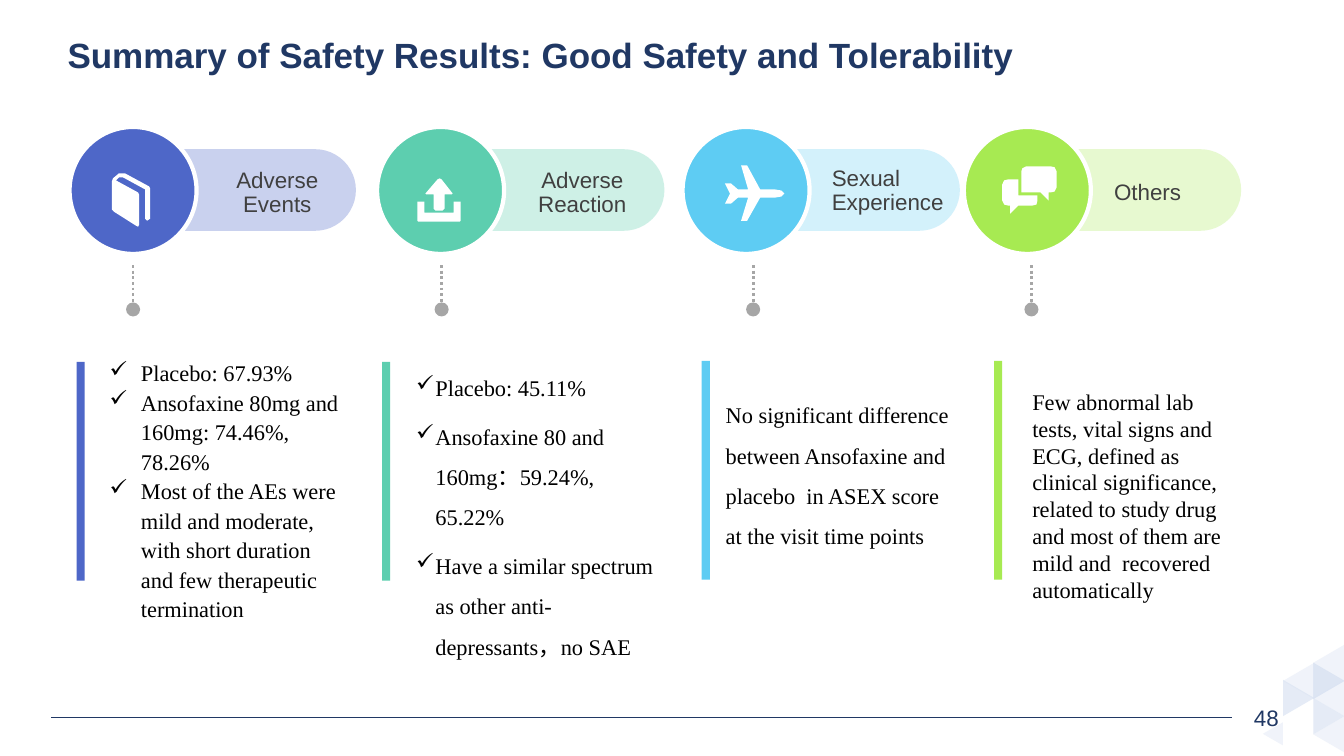
from dataclasses import dataclass

from lxml.etree import SubElement
from pptx import Presentation
from pptx.dml.color import RGBColor
from pptx.enum.dml import MSO_LINE
from pptx.enum.shapes import MSO_CONNECTOR, MSO_SHAPE as SHAPE
from pptx.enum.text import MSO_ANCHOR as ANCHOR, MSO_AUTO_SIZE, PP_ALIGN as ALIGN
from pptx.oxml.ns import qn
from pptx.util import Inches, Pt

NAVY = RGBColor(0x20, 0x38, 0x64)
WHITE = RGBColor(0xFF, 0xFF, 0xFF)
BLACK = RGBColor(0, 0, 0)
LABEL_GRAY = RGBColor(0x40, 0x40, 0x40)
STEM_GRAY = RGBColor(0xA6, 0xA6, 0xA6)
PALE_BLUE = RGBColor(0xDA, 0xE3, 0xF3)

Box = tuple[float, float, float, float]
Contour = list[tuple[int, int]]  # hundredths of an inch


@dataclass
class Body:
    box: Box
    paragraphs: list[str]
    line_spacing: float = 1.0
    space_after: float = 0
    indent: float = 0  # hanging indent of checked items; 0 means no check marks


@dataclass
class Column:
    label: str
    label_box: Box
    align: ALIGN
    color: RGBColor
    tint: RGBColor
    opacity: int
    circle_left: float
    pill_left: float
    pill_width: float
    stem_x: float
    bar: tuple[float, float]
    body: Body
    icon: list[Contour]


@dataclass
class Triangle:
    left: float
    top: float
    points_right: bool
    width: float = 0.36
    height: float = 0.31


BOOK = [[(148, 185), (124, 172), (118, 172), (112, 177), (111, 180), (111, 208),
         (113, 210), (135, 224), (137, 225), (138, 223), (138, 193), (137, 191),
         (115, 179), (118, 176), (122, 176), (144, 188), (144, 217), (146, 219),
         (149, 217), (149, 187)]]
UPLOAD = [[(414, 200), (421, 200), (421, 211), (450, 211), (450, 200), (457, 200),
           (457, 219), (456, 220), (415, 220), (414, 219)],
          [(449, 192), (448, 193), (441, 193), (441, 207), (439, 209), (432, 209),
           (430, 207), (430, 193), (423, 193), (422, 192), (434, 178), (436, 177),
           (438, 178)]]
PLANE = [[(735, 219), (741, 219), (754, 196), (769, 196), (775, 195), (778, 192),
          (775, 189), (769, 188), (754, 188), (741, 164), (735, 164), (742, 188),
          (732, 188), (725, 182), (719, 182), (724, 192), (719, 202), (725, 202),
          (732, 196), (742, 196)]]
CHAT = [[(1042, 165), (1018, 165), (1014, 167), (1013, 170), (1013, 191), (1032, 191),
         (1040, 199), (1040, 191), (1042, 191), (1046, 190), (1048, 186), (1048, 170),
         (1046, 166)],
        [(1010, 194), (1010, 178), (1000, 178), (996, 179), (994, 183), (994, 199),
         (996, 203), (1000, 204), (1002, 204), (1002, 212), (1010, 204), (1024, 204),
         (1028, 203), (1029, 199), (1029, 194)]]

COLUMNS = [
    Column("Adverse Events", (2.03, 1.71, 1.39, 0.42), ALIGN.CENTER,
           RGBColor(0x4E, 0x67, 0xC8), RGBColor(0x95, 0xA4, 0xDE), 50,
           0.69, 1.31, 2.22, 1.32, (0.76, 3.59),
           Body((0.99, 3.49, 2.54, 2.76),
                ["Placebo: 67.93%", "Ansofaxine 80mg and 160mg: 74.46%, 78.26%",
                 "Most of the AEs were mild and moderate, with short duration "
                 "and few therapeutic termination"], 1.1, 0, 0.31), BOOK),
    Column("Adverse Reaction", (5.14, 1.71, 1.22, 0.42), ALIGN.CENTER,
           RGBColor(0x5D, 0xCE, 0xAF), RGBColor(0x9E, 0xE2, 0xCF), 50,
           3.74, 4.38, 2.21, 4.38, (3.79, 3.59),
           Body((4.03, 3.53, 2.58, 3.1),
                ["Placebo: 45.11%", "Ansofaxine 80 and 160mg：59.24%, 65.22%",
                 "Have a similar spectrum as other anti-depressants，no SAE"],
                1.5, 6, 0.19), UPLOAD),
    Column("Sexual Experience", (8.2, 1.67, 1.32, 0.45), ALIGN.LEFT,
           RGBColor(0x5E, 0xCC, 0xF3), RGBColor(0x9E, 0xE0, 0xF8), 45,
           6.77, 7.44, 2.08, 7.47, (6.96, 3.58),
           Body((7.1, 3.8, 2.43, 1.72),
                ["No significant difference between Ansofaxine and placebo  in "
                 "ASEX score at the visit time points"], 1.5, 6), PLANE),
    Column("Others", (11, 1.71, 1.07, 0.42), ALIGN.LEFT,
           RGBColor(0xA7, 0xEA, 0x52), RGBColor(0xCA, 0xF2, 0x97), 45,
           9.56, 10.23, 2.08, 10.23, (9.86, 3.58),
           Body((10.14, 3.8, 2.27, 2.25),
                ["Few abnormal lab tests, vital signs and ECG, defined as clinical "
                 "significance, related to study drug and most of them are mild "
                 "and  recovered automatically"]), CHAT),
]

TRIANGLES = [
    Triangle(12.7, 6.77, True), Triangle(12.7, 6.6, False),
    Triangle(13, 6.6, True), Triangle(13, 6.6, True),
    Triangle(13, 6.77, False), Triangle(13, 6.42, False),
    Triangle(13, 7.13, False), Triangle(13, 6.95, True),
    Triangle(12.51, 7.18, False, 0.23, 0.2),
]

deck = Presentation()
deck.slide_width, deck.slide_height = Inches(13.33), Inches(7.5)
page = deck.slides.add_slide(deck.slide_layouts[5])


def paint(shape, color: RGBColor, opacity: int = 100) -> None:
    shape.shadow.inherit = False
    shape.line.fill.background()
    shape.fill.solid()
    shape.fill.fore_color.rgb = color
    if opacity < 100:
        color_node = shape.element.spPr.find(qn("a:solidFill"))[0]
        SubElement(color_node, qn("a:alpha"), val=str(opacity * 1000))


def add_block(kind: SHAPE, box: Box, color: RGBColor, opacity: int = 100):
    shape = page.shapes.add_shape(kind, *map(Inches, box))
    paint(shape, color, opacity)
    return shape


def add_rule(start: tuple[float, float], end: tuple[float, float],
             color: RGBColor, width: float):
    rule = page.shapes.add_connector(MSO_CONNECTOR.STRAIGHT, *map(Inches, start + end))
    rule.line.color.rgb = color
    rule.line.width = Pt(width)
    SubElement(rule.element.spPr, qn("a:effectLst"))
    return rule


def style(para, size: float, name: str, color: RGBColor, bold: bool = False) -> None:
    para.font.size, para.font.name, para.font.bold = Pt(size), name, bold
    para.font.color.rgb = color


def add_label(text: str, box: Box, align: ALIGN, color: RGBColor,
              line_spacing: float = 1.0) -> None:
    frame = page.shapes.add_textbox(*map(Inches, box)).text_frame
    frame.word_wrap = True
    frame.vertical_anchor = ANCHOR.MIDDLE
    frame.margin_left = Inches(0.05)
    frame.margin_right = frame.margin_top = frame.margin_bottom = 0
    para = frame.paragraphs[0]
    para.text, para.alignment, para.line_spacing = text, align, line_spacing
    style(para, 16, "Arial", color)


def add_body(body: Body) -> None:
    frame = page.shapes.add_textbox(*map(Inches, body.box)).text_frame
    frame.word_wrap = True
    for number, text in enumerate(body.paragraphs):
        para = frame.add_paragraph() if number else frame.paragraphs[0]
        para.text = text
        para.line_spacing, para.space_after = body.line_spacing, Pt(body.space_after)
        style(para, 16, "Times New Roman", BLACK)
        if body.indent:
            properties = para._p.get_or_add_pPr()
            properties.set("marL", str(Inches(body.indent)))
            properties.set("indent", str(-Inches(body.indent)))
            bullet = SubElement(properties, qn("a:buChar"), char="✓")
            properties.find(qn("a:defRPr")).addprevious(bullet)


def add_icon(contours: list[Contour]) -> None:
    first, *others = contours
    builder = page.shapes.build_freeform(*first[0], scale=Inches(0.01))
    builder.add_line_segments(first[1:])
    for contour in others:
        builder.move_to(*contour[0])
        builder.add_line_segments(contour[1:])
    paint(builder.convert_to_shape(), WHITE)


def add_column(column: Column) -> None:
    pill = add_block(SHAPE.ROUNDED_RECTANGLE, (column.pill_left, 1.48, column.pill_width, 0.81),
                     column.tint, column.opacity)
    pill.adjustments[0] = 0.5
    circle = add_block(SHAPE.OVAL, (column.circle_left, 1.26, 1.26, 1.26), column.color)
    circle.line.color.rgb = WHITE
    circle.line.width = Pt(3)
    add_label(column.label, column.label_box, column.align, LABEL_GRAY, 0.9)
    add_icon(column.icon)

    stem = add_rule((column.stem_x, 2.63), (column.stem_x, 3.07), STEM_GRAY, 2)
    stem.line.dash_style = MSO_LINE.ROUND_DOT
    SubElement(stem.line._ln, qn("a:tailEnd"), type="oval", w="lg", len="lg")

    add_block(SHAPE.RECTANGLE, (*column.bar, 0.08, 2.17), column.color)
    add_body(column.body)


# Footer line, page number and corner pattern
add_rule((0.51, 7.12), (12.22, 7.12), NAVY, 1)
for tile in TRIANGLES:
    triangle = add_block(SHAPE.ISOSCELES_TRIANGLE, (tile.left, tile.top, tile.width, tile.height),
                         PALE_BLUE, 70 if tile.points_right else 40)
    triangle.rotation = 90 if tile.points_right else 270
add_label("48", (12.25, 6.92, 0.57, 0.4), ALIGN.CENTER, NAVY)

# Title
title = page.shapes.title
title.left, title.top, title.width, title.height = map(Inches, (0.57, 0.24, 11.37, 0.66))
title.text_frame.auto_size = MSO_AUTO_SIZE.NONE
title.text_frame.vertical_anchor = ANCHOR.MIDDLE
heading = title.text_frame.paragraphs[0]
heading.text = "Summary of Safety Results: Good Safety and Tolerability"
heading.alignment, heading.line_spacing = ALIGN.LEFT, 0.9
style(heading, 25, "Arial", NAVY, bold=True)

# Result columns
for column in COLUMNS:
    add_column(column)

deck.save("out.pptx")
